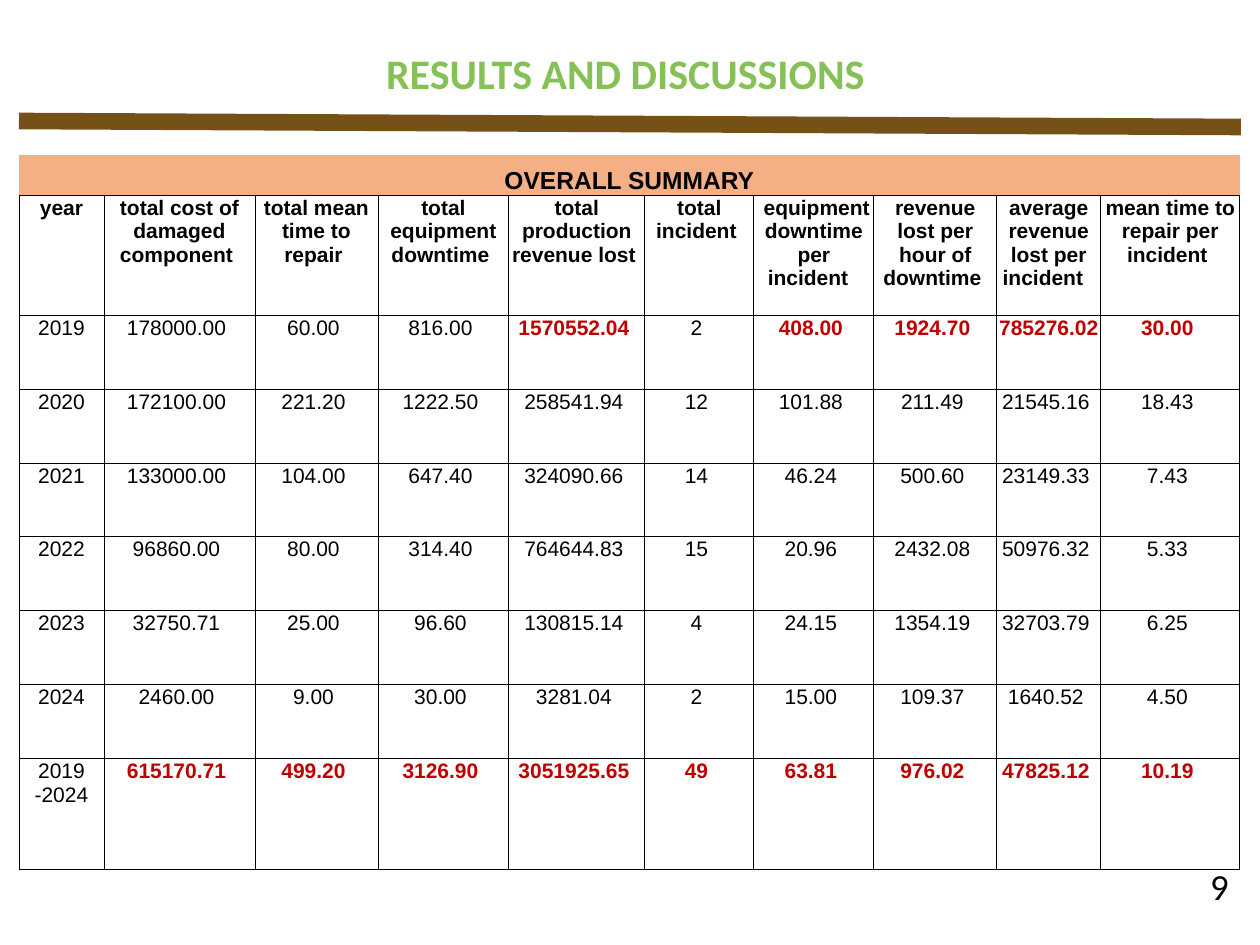
from lxml.etree import SubElement
from pptx import Presentation
from pptx.dml.color import RGBColor
from pptx.enum.shapes import MSO_CONNECTOR
from pptx.enum.text import MSO_ANCHOR as Anchor, PP_ALIGN as Align
from pptx.oxml import parse_xml
from pptx.oxml.ns import nsdecls, qn
from pptx.util import Emu, Pt

PX = 914400 // 126
COLORS = {"title": "86C157", "rule": "755017", "band": "F4B084",
          "text": "000000", "key": "C00000", "grid": "000008"}
NO_STYLE = "{2D5ABB26-0587-4C30-8999-92F81FD0307C}"

TITLE = "RESULTS AND DISCUSSIONS"
BAND = "OVERALL SUMMARY"
HEADS = ["year", "total cost of damaged component ", "total mean time to repair ",
         "total equipment downtime ", "total production revenue lost ",
         "total incident ", " equipment downtime per incident  ",
         "revenue lost per hour of downtime ",
         "average revenue lost per incident  ", "mean time to repair per incident "]
ROWS = [
    ("2019", 178000.00, 60.00, 816.00, 1570552.04, 2, 408.00, 1924.70, 785276.02, 30.00),
    ("2020", 172100.00, 221.20, 1222.50, 258541.94, 12, 101.88, 211.49, 21545.16, 18.43),
    ("2021", 133000.00, 104.00, 647.40, 324090.66, 14, 46.24, 500.60, 23149.33, 7.43),
    ("2022", 96860.00, 80.00, 314.40, 764644.83, 15, 20.96, 2432.08, 50976.32, 5.33),
    ("2023", 32750.71, 25.00, 96.60, 130815.14, 4, 24.15, 1354.19, 32703.79, 6.25),
    ("2024", 2460.00, 9.00, 30.00, 3281.04, 2, 15.00, 109.37, 1640.52, 4.50),
    ("2019 -2024", 615170.71, 499.20, 3126.90, 3051925.65, 49, 63.81, 976.02, 47825.12, 10.19),
]
KEYS = {"2019": {4, 6, 7, 8, 9}, "2019 -2024": set(range(1, 10))}
WIDTHS = [85, 151, 123, 131, 136, 109, 120, 123, 104, 139]
HEIGHTS = [40, 120] + [74] * 6 + [111]


def px(*nums):
    return [Emu(n * PX) for n in nums]


def rgb(name):
    return RGBColor.from_string(COLORS[name])


def write(frame, text, size, face, color="text", bold=False, align=Align.CENTER):
    par = frame.paragraphs[0]
    par.text, par.alignment = text, align
    font = par.font
    font.size, font.name, font.bold = Pt(size), face, bold
    font.color.rgb = rgb(color)


def add_label(slide, box, text, size, **look):
    frame = slide.shapes.add_textbox(*px(*box)).text_frame
    frame.word_wrap = True
    frame.vertical_anchor = Anchor.MIDDLE
    write(frame, text, size, "Calibri", **look)


def add_rule(slide):
    line = slide.shapes.add_connector(MSO_CONNECTOR.STRAIGHT, *px(19, 121, 1241, 127))
    line.line.color.rgb = rgb("rule")
    line.line.width = Pt(9.5)
    SubElement(line._element.spPr, qn("a:effectLst"))


def set_edges(cell, sides):
    props = cell._tc.get_or_add_tcPr()
    for i, side in enumerate(sides):
        props.insert(i, parse_xml(
            f'<a:ln{side} {nsdecls("a")} w="6350"><a:solidFill>'
            f'<a:srgbClr val="{COLORS["grid"]}"/></a:solidFill></a:ln{side}>'))


def fill_cell(cell, text, size=12, sides="LRTB", **look):
    cell.margin_left = cell.margin_right = cell.margin_top = Emu(PX)
    cell.margin_bottom = 0
    write(cell.text_frame, text, size, "Arial", **look)
    cell.fill.background()
    set_edges(cell, sides)


def show(value):
    """Years stand as they are, counts are whole, the rest has two decimals."""
    if isinstance(value, str):
        return value
    return f"{value} " if isinstance(value, int) else f"{value:.2f} "


def add_summary(slide):
    box = px(19, 155, sum(WIDTHS), sum(HEIGHTS))
    table = slide.shapes.add_table(len(HEIGHTS), len(WIDTHS), *box).table
    table.first_row = table.horz_banding = False
    table._tbl.tblPr.find(qn("a:tableStyleId")).text = NO_STYLE
    for col, wide in zip(table.columns, px(*WIDTHS)):
        col.width = wide
    for row, high in zip(table.rows, px(*HEIGHTS)):
        row.height = high

    band = table.cell(0, 0)
    band.merge(table.cell(0, len(WIDTHS) - 1))
    fill_cell(band, BAND, 14, sides="B", bold=True)
    band.vertical_anchor = Anchor.BOTTOM
    band.fill.solid()
    band.fill.fore_color.rgb = rgb("band")

    for c, head in enumerate(HEADS):
        fill_cell(table.cell(1, c), head, bold=True)
    for r, row in enumerate(ROWS, 2):
        keys = KEYS.get(row[0], set())
        for c, value in enumerate(row):
            fill_cell(table.cell(r, c), show(value), bold=c in keys,
                      color="key" if c in keys else "text")


def main():
    deck = Presentation()
    deck.slide_width, deck.slide_height = px(1260, 945)
    slide = deck.slides.add_slide(deck.slide_layouts[6])
    add_label(slide, (1162, 867, 79, 38), "9", 21, align=Align.RIGHT)
    add_label(slide, (355, 41, 541, 63), TITLE, 24, color="title", bold=True)
    add_rule(slide)
    add_summary(slide)
    deck.save("out.pptx")


if __name__ == "__main__":
    main()
